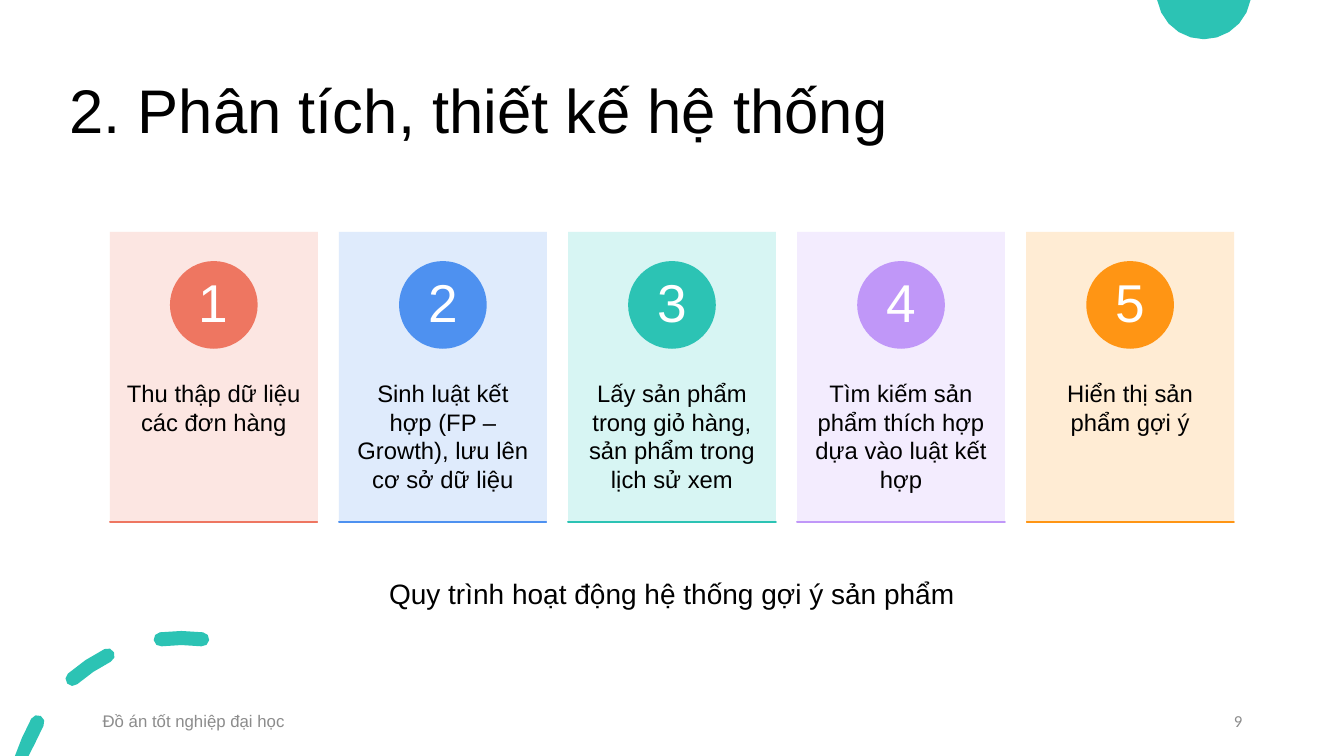
from math import cos, radians, sin

from lxml import etree
from pptx import Presentation
from pptx.dml.color import RGBColor
from pptx.enum.shapes import MSO_SHAPE
from pptx.enum.text import MSO_ANCHOR, MSO_AUTO_SIZE, PP_ALIGN
from pptx.oxml.ns import qn
from pptx.util import Inches, Pt

LEFT, CENTER, RIGHT = PP_ALIGN.LEFT, PP_ALIGN.CENTER, PP_ALIGN.RIGHT
TOP, MIDDLE = MSO_ANCHOR.TOP, MSO_ANCHOR.MIDDLE
NO_FIT = MSO_AUTO_SIZE.NONE
RECT, OVAL = MSO_SHAPE.RECTANGLE, MSO_SHAPE.OVAL

WIDTH, HEIGHT = 13.33, 7.5
TEAL = "2CC3B4"
GRAY = "8C8C8C"
STEPS = [
    ("Thu thập dữ liệu các đơn hàng", "EE7661", "FCE4DF"),
    ("Sinh luật kết hợp (FP – Growth), lưu lên cơ sở dữ liệu", "4E91F0", "DCE9FC"),
    ("Lấy sản phẩm trong giỏ hàng, sản phẩm trong lịch sử xem", TEAL, "D3F5F2"),
    ("Tìm kiếm sản phẩm thích hợp dựa vào luật kết hợp", "C097F8", "F2EAFE"),
    ("Hiển thị sản phẩm gợi ý", "FF9514", "FFEAD0"),
]


def color(code):
    return RGBColor.from_string(code)


def paint(shape, code):
    shape.fill.solid()
    shape.fill.fore_color.rgb = color(code)
    shape.line.fill.background()
    shape.shadow.inherit = False


def add(slide, kind, box, code):
    shape = slide.shapes.add_shape(kind, *map(Inches, box))
    paint(shape, code)
    return shape


def write(shape, text, size, code="000000", align=LEFT, anchor=MIDDLE,
          pad=(0.1, 0.05), font="Arial", space=1.0, wrap=True):
    frame = shape.text_frame
    frame.text = text
    frame.word_wrap = wrap
    frame.auto_size = NO_FIT
    frame.vertical_anchor = anchor
    frame.margin_left = frame.margin_right = Inches(pad[0])
    frame.margin_top = frame.margin_bottom = Inches(pad[1])
    line = frame.paragraphs[0]
    line.alignment = align
    line.line_spacing = space
    face = line.runs[0].font
    face.size = Pt(size)
    face.name = font
    face.color.rgb = color(code)


def label(slide, box, text, size, **style):
    write(slide.shapes.add_textbox(*map(Inches, box)), text, size, **style)


def arc(x, y, radius, start, end, count):
    turns = [radians(start + (end - start) * i / count) for i in range(count + 1)]
    return [(x + radius * cos(t), y - radius * sin(t)) for t in turns]


def outline(slide, loops):
    loops = [[(Inches(x), Inches(min(max(y, 0), HEIGHT))) for x, y in loop]
             for loop in loops]
    builder = slide.shapes.build_freeform(*loops[0][0])
    for i, loop in enumerate(loops):
        if i:
            builder.move_to(*loop[0])
        builder.add_line_segments(loop[1:], close=True)
    paint(builder.convert_to_shape(), TEAL)


def dash(x, y, radius, half, start, end):
    first, last = [arc(x, y, radius, t, t, 1)[0] for t in (start, end)]
    cap = arc(*last, half, end, end + 180, 4)[1:-1] if last[1] < HEIGHT else []
    return (arc(x, y, radius + half, start, end, 2) + cap
            + arc(x, y, radius - half, end, start, 2)
            + arc(*first, half, start + 180, start + 360, 4)[1:-1])


def decor(slide):
    outline(slide, [arc(11.94, -0.08, 0.47, 190, 350, 10)])
    spans = ((150.6, 165), (116.5, 131.2), (82.8, 97.2))
    outline(slide, [dash(1.8, 7.97, 1.64, 0.07, *span) for span in spans])


def title(slide, box, text):
    head = slide.shapes.title
    head.left, head.top, head.width, head.height = map(Inches, box)
    write(head, text, 44, space=0.9)


def card(slide, box, number, text, dark, light):
    x, y, w, h = box
    panel = add(slide, RECT, box, light)
    tint = panel.fill._xPr.find(qn("a:solidFill"))[0]
    etree.SubElement(tint, qn("a:alpha")).set("val", "90000")
    label(slide, (x, y + 1.1, w, 1.73), text, 17,
          align=CENTER, anchor=TOP, pad=(0.16, 0.36))
    size = 0.87
    badge = add(slide, OVAL, (x + (w - size) / 2, y + 0.29, size, size), dark)
    write(badge, str(number), 38, code="FFFFFF", align=CENTER,
          pad=(0.07, 0.01), space=0.9)
    rule = add(slide, RECT, (x, y + h, w, 0), dark)
    rule.line.color.rgb = color(dark)
    rule.line.width = Pt(1)


def cards(slide, box, gap):
    x, y, w, h = box
    wide = (w - gap * (len(STEPS) - 1)) / len(STEPS)
    for i, step in enumerate(STEPS):
        card(slide, (x + i * (wide + gap), y, wide, h), i + 1, *step)


def footer(slide, box):
    x, y, w, h = box
    label(slide, (x, y, 4.5, h), "Đồ án tốt nghiệp đại học", 12, code=GRAY)
    label(slide, (x + w - 3, y, 3, h), "9", 12, code=GRAY,
          align=RIGHT, font="Calibri")


def main():
    deck = Presentation()
    deck.slide_width, deck.slide_height = Inches(WIDTH), Inches(HEIGHT)
    slide = deck.slides.add_slide(deck.slide_layouts[5])
    decor(slide)
    title(slide, (0.59, 0.4, 11.5, 1.45), "2. Phân tích, thiết kế hệ thống")
    cards(slide, (1.09, 2.3, 11.15, 2.88), 0.21)
    footer(slide, (0.92, 6.95, 11.5, 0.4))
    label(slide, (3.74, 5.67, 5.85, 0.44),
          "Quy trình hoạt động hệ thống gợi ý sản phẩm", 20,
          align=CENTER, anchor=TOP, wrap=False)
    deck.save("out.pptx")


if __name__ == "__main__":
    main()
